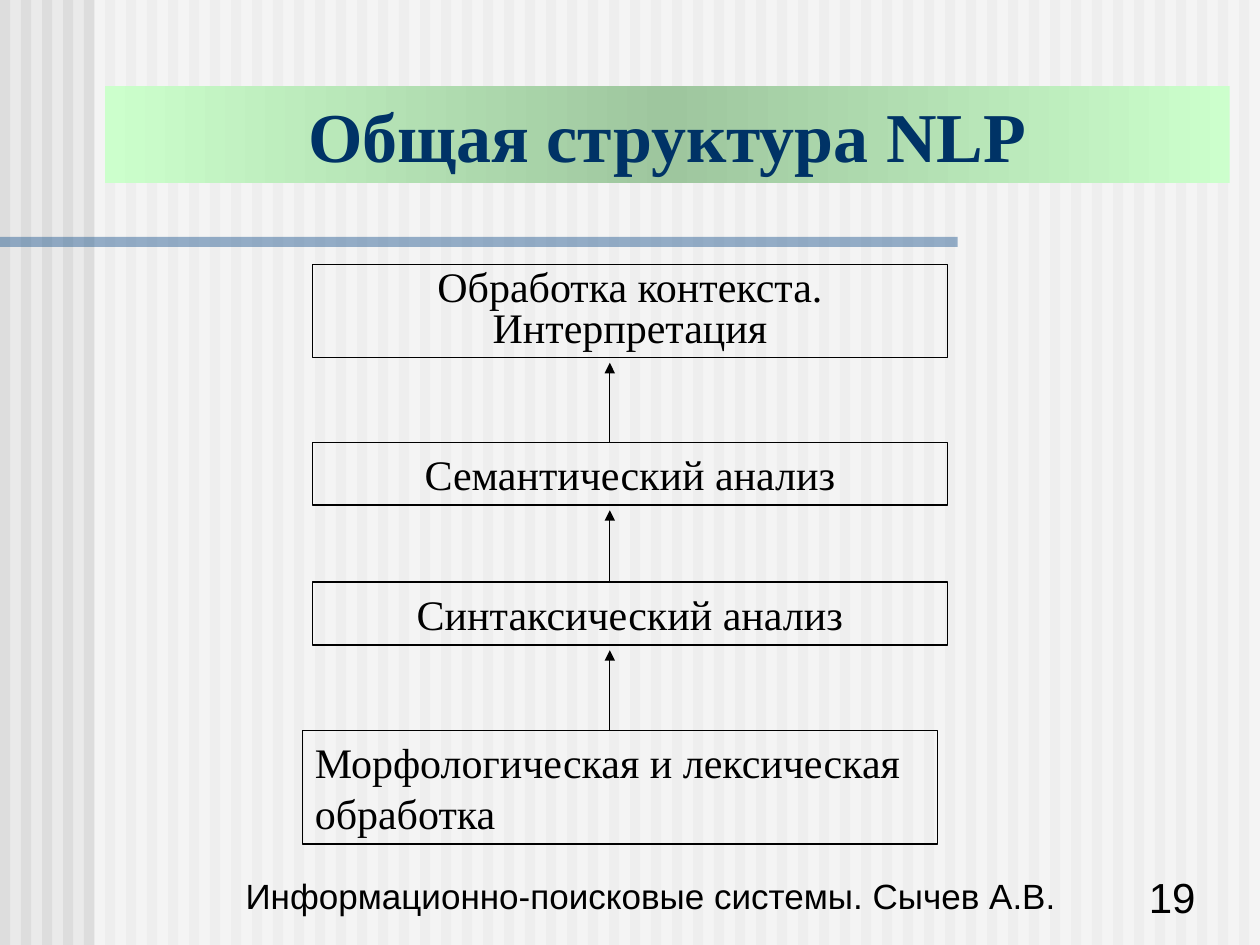
from lxml.etree import SubElement
from pptx import Presentation
from pptx.dml.color import RGBColor
from pptx.enum.shapes import MSO_CONNECTOR, MSO_SHAPE
from pptx.enum.text import MSO_ANCHOR, MSO_AUTO_SIZE, PP_ALIGN
from pptx.oxml.ns import qn
from pptx.util import Inches, Pt

TITLE = "Общая структура NLP"
# text lines, (left, top, width, height), alignment, line spacing
STAGES = [
    (["Обработка контекста.", "Интерпретация"], (2.48, 2.1, 5.04, 0.74), PP_ALIGN.CENTER, 0.8),
    (["Семантический анализ"], (2.48, 3.51, 5.04, 0.5), PP_ALIGN.CENTER, 1),
    (["Синтаксический анализ"], (2.48, 4.62, 5.04, 0.5), PP_ALIGN.CENTER, 1),
    (["Морфологическая и лексическая обработка"], (2.4, 5.8, 5.04, 0.9), PP_ALIGN.LEFT, 1),
]
FOOTERS = [
    ("Информационно-поисковые системы. Сычев А.В.", (1.85, 6.82, 7.09, 0.5), 20),
    ("19", (9.02, 6.87, 0.74, 0.5), 24),
]
ARROW_X, ARROW_GAP = 4.84, 0.04
STRIPES = 60

BLACK = RGBColor(0x00, 0x00, 0x00)
WHITE = RGBColor(0xFF, 0xFF, 0xFF)
NAVY = RGBColor(0x00, 0x33, 0x66)
BLUE = RGBColor(0x33, 0x66, 0x99)
PAPER = RGBColor(0xEA, 0xEA, 0xEA)
STRIPE = RGBColor(0xDD, 0xDD, 0xDD)
MINT = RGBColor(0xCC, 0xFF, 0xCC)
SAGE = RGBColor(0x9E, 0xC6, 0x9E)


def add_rect(shapes, box, color=None, alpha=None):
    """Add a borderless rectangle; alpha is the opacity in percent."""
    sp = shapes.add_shape(MSO_SHAPE.RECTANGLE, *map(Inches, box))
    sp.shadow.inherit = False
    sp.line.fill.background()
    if color is None:
        sp.fill.background()
    else:
        sp.fill.solid()
        sp.fill.fore_color.rgb = color
    if alpha is not None:
        clr = sp._element.spPr.find(qn("a:solidFill"))[0]
        SubElement(clr, qn("a:alpha"), val=str(alpha * 1000))
    return sp


def write(tf, lines, font, size, color=BLACK, align=PP_ALIGN.LEFT,
          spacing=1, anchor=MSO_ANCHOR.TOP, bold=False):
    tf.word_wrap = True
    tf.auto_size = MSO_AUTO_SIZE.NONE
    tf.vertical_anchor = anchor
    for i, line in enumerate(lines):
        p = tf.add_paragraph() if i else tf.paragraphs[0]
        p.text = line
        p.alignment = align
        p.line_spacing = spacing
        p.font.name, p.font.size, p.font.bold = font, Pt(size), bold
        p.font.color.rgb = color


def add_background(slide):
    slide.background.fill.solid()
    slide.background.fill.fore_color.rgb = PAPER
    group = slide.shapes.add_group_shape()
    for i in range(STRIPES):
        add_rect(group.shapes, (i / 6, 0, 0.08, 7.5), STRIPE)
    add_rect(group.shapes, (0.75, 0, 9.25, 7.5), WHITE, 50)
    add_rect(group.shapes, (0, 1.88, 7.6, 0.08), BLUE, 50)


def add_title(slide):
    title = slide.shapes.title
    slide.shapes._spTree.append(title._element)  # in front of the stripes
    title.left, title.top, title.width, title.height = map(Inches, (0.83, 0.68, 8.93, 0.77))
    title.fill.gradient()
    title.fill.gradient_angle = 180
    stops = title._element.spPr.find(qn("a:gradFill")).find(qn("a:gsLst"))
    stops.clear()
    for pos, color in ((0, MINT), (50, SAGE), (100, MINT)):
        gs = SubElement(stops, qn("a:gs"), pos=str(pos * 1000))
        SubElement(gs, qn("a:srgbClr"), val=str(color))
    write(title.text_frame, [TITLE], "Times New Roman", 40, NAVY,
          PP_ALIGN.CENTER, anchor=MSO_ANCHOR.BOTTOM, bold=True)


def add_arrow(slide, start_y, end_y):
    x = Inches(ARROW_X)
    line = slide.shapes.add_connector(MSO_CONNECTOR.STRAIGHT, x, Inches(start_y), x, Inches(end_y))
    line.line.color.rgb = BLACK
    line.line.width = Pt(0.75)
    SubElement(line.line._get_or_add_ln(), qn("a:tailEnd"), type="triangle")
    SubElement(line._element.spPr, qn("a:effectLst"))


def main():
    prs = Presentation()
    prs.slide_width, prs.slide_height = Inches(10), Inches(7.5)
    slide = prs.slides.add_slide(prs.slide_layouts[5])
    add_background(slide)
    add_title(slide)

    for text, box, size in FOOTERS:
        tb = slide.shapes.add_textbox(*map(Inches, box))
        write(tb.text_frame, [text], "Arial", size, anchor=MSO_ANCHOR.BOTTOM)

    for lines, box, align, spacing in STAGES:
        sp = add_rect(slide.shapes, box)
        sp.line.color.rgb = BLACK
        sp.line.width = Pt(0.75)
        write(sp.text_frame, lines, "Times New Roman", 24, align=align, spacing=spacing)

    for (_, upper, *_), (_, lower, *_) in zip(STAGES, STAGES[1:]):
        add_arrow(slide, lower[1], upper[1] + upper[3] + ARROW_GAP)

    prs.save("out.pptx")


if __name__ == "__main__":
    main()
